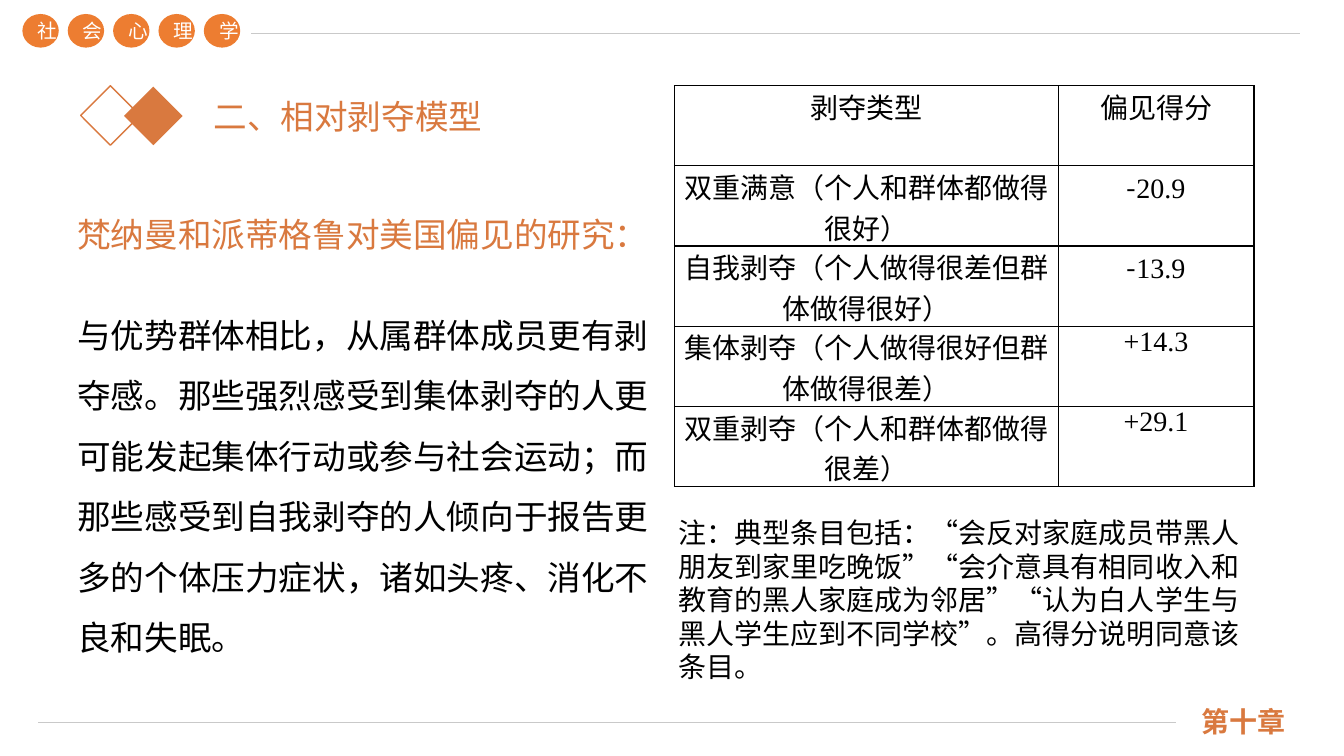
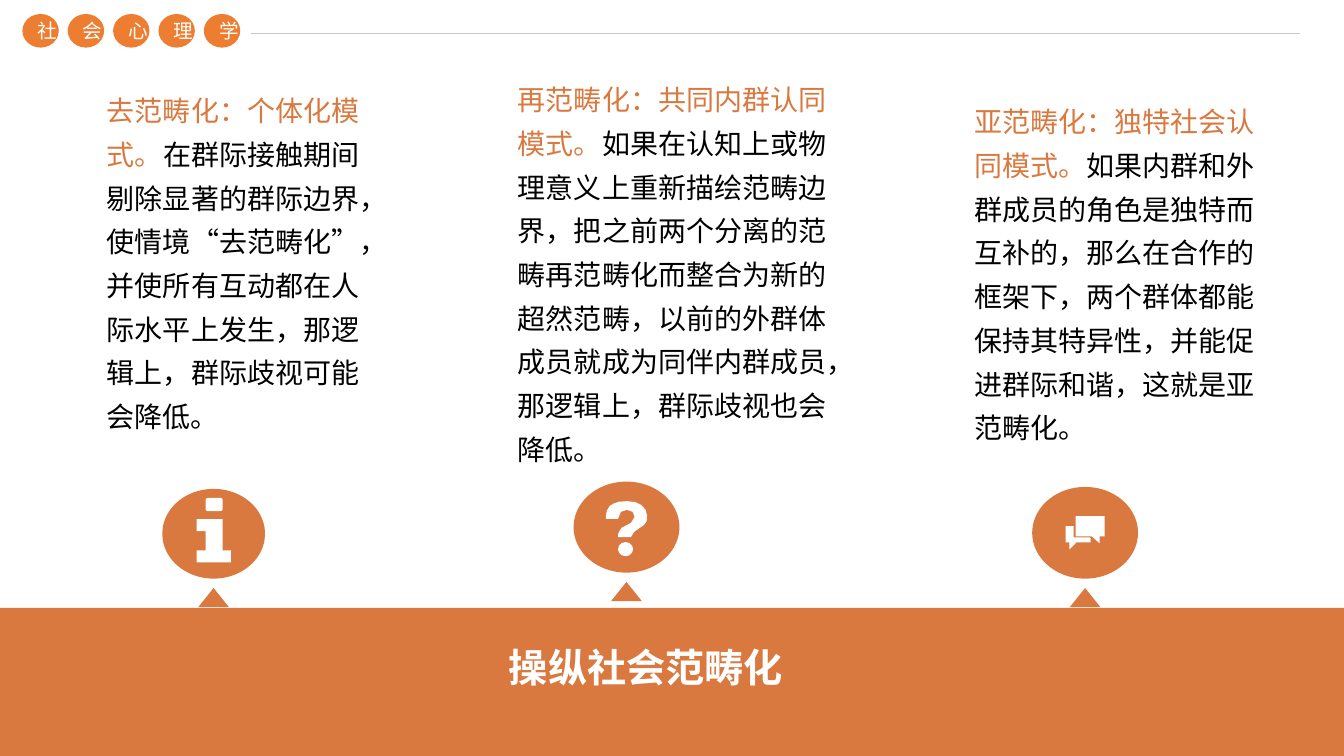
from dataclasses import dataclass

from lxml import etree
from pptx import Presentation
from pptx.dml.color import RGBColor
from pptx.enum.shapes import MSO_CONNECTOR, MSO_SHAPE
from pptx.enum.text import MSO_ANCHOR, PP_ALIGN
from pptx.oxml.ns import qn
from pptx.util import Pt

OVAL = MSO_SHAPE.OVAL
RECT = MSO_SHAPE.RECTANGLE
ROUND = MSO_SHAPE.ROUNDED_RECTANGLE
PEAK = MSO_SHAPE.ISOSCELES_TRIANGLE
GEM = MSO_SHAPE.DIAMOND
LINE = MSO_CONNECTOR.STRAIGHT
TOP = MSO_ANCHOR.TOP
MIDDLE = MSO_ANCHOR.MIDDLE
BOTTOM = MSO_ANCHOR.BOTTOM
LEFT = PP_ALIGN.LEFT
CENTER = PP_ALIGN.CENTER
FULL = PP_ALIGN.JUSTIFY


@dataclass(frozen=True)
class Theme:
    main: str = "D9793F"
    badge: str = "ED7D31"
    rule: str = "C9C9C9"
    ink: str = "000000"
    paper: str = "FFFFFF"
    sans: str = "Noto Sans CJK SC"
    foot: str = "Noto Sans CJK JP"
    serif: str = "Times New Roman"
    note: str = "Arial"
    tiny: int = 14
    body: int = 20
    head: int = 24
    big: int = 28


T = Theme()

GRID = [
    ("剥夺类型", "偏见得分"),
    ("双重满意（个人和群体都做得很好）", "-20.9"),
    ("自我剥夺（个人做得很差但群体做得很好）", "-13.9"),
    ("集体剥夺（个人做得很好但群体做得很差）", "+14.3"),
    ("双重剥夺（个人和群体都做得很差）", "+29.1"),
]

STUDY = "梵纳曼和派蒂格鲁对美国偏见的研究："
RESULT = (
    "与优势群体相比，从属群体成员更有剥夺感。那些强烈感受到集体剥夺的人更"
    "可能发起集体行动或参与社会运动；而那些感受到自我剥夺的人倾向于报告更"
    "多的个体压力症状，诸如头疼、消化不良和失眠。"
)
NOTE = (
    "注：典型条目包括：“会反对家庭成员带黑人朋友到家里吃晚饭”"
    "“会介意具有相同收入和教育的黑人家庭成为邻居”"
    "“认为白人学生与黑人学生应到不同学校”。高得分说明同意该条目。"
)

MODELS = [
    ((69.1, 56.3, 195, 288), FULL, "去范畴化：个体化模式。",
     "在群际接触期间剔除显著的群际边界，使情境“去范畴化”，"
     "并使所有互动都在人际水平上发生，那逻辑上，群际歧视可能会降低。"),
    ((362.9, 48.4, 239.8, 319), LEFT, "再范畴化：共同内群认同模式。",
     "如果在认知上或物理意义上重新描绘范畴边界，把之前两个分离的范畴再范畴化"
     "而整合为新的超然范畴，以前的外群体成员就成为同伴内群成员，"
     "那逻辑上，群际歧视也会降低。"),
    ((689, 64.2, 225.4, 288), LEFT, "亚范畴化：独特社会认同模式。",
     "如果内群和外群成员的角色是独特而互补的，那么在合作的框架下，"
     "两个群体都能保持其特异性，并能促进群际和谐，这就是亚范畴化。"),
]

INFO = [(24.5, 21.6), (43.2, 21.6), (43.2, 43.9), (49, 43.9), (49, 52.6),
        (24.5, 52.6), (24.5, 43.9), (31, 43.9), (31, 30.2), (24.5, 30.2)]
QUERY = [(23, 26.7), (23, 25.2), (23.7, 20.9), (25.9, 17.3), (28.8, 15.6),
         (32.4, 14.4), (38.1, 14), (43.9, 14.6), (48.2, 16.6), (51.5, 20.2),
         (52.5, 24.5), (52.2, 28.1), (50.4, 31), (46.8, 33.4), (43.2, 36),
         (41, 39.6), (31.7, 39.6), (32, 36.7), (34.2, 33.1), (41, 29.5),
         (43.6, 25.2), (42.2, 21.6), (38.1, 20.2), (33.8, 21.6), (31.7, 26.7)]
BACK = [(23.8, 28.1), (29.5, 28.1), (29.5, 36), (41, 36), (41.8, 36.7),
        (41.8, 39.6), (31.7, 39.6), (26.6, 44.6), (26.6, 39.6), (23.8, 39.6)]
FRONT = [(31, 20.9), (51.8, 20.9), (51.8, 35.3), (48.2, 35.3),
         (48.2, 40.3), (42.5, 35.3), (31, 35.3)]

ICONS = [
    ((115.9, 349.2, 73.4, 64.1), [INFO], (ROUND, 31, 6.5, 12.2, 9.4)),
    ((409.7, 344, 75.6, 65), [QUERY], (OVAL, 31.7, 43.2, 10.8, 10.1)),
    ((737.3, 347.8, 75.6, 65.5), [BACK, FRONT], None),
]


def rgb(code):
    return RGBColor.from_string(code)


def put(item, form):
    for key, value in form.items():
        setattr(item, key, value)


def paint(shape, fill=None, line=None):
    shape.shadow.inherit = False
    if fill:
        shape.fill.solid()
        shape.fill.fore_color.rgb = rgb(fill)
    else:
        shape.fill.background()
    if line:
        shape.line.color.rgb = rgb(line)
        shape.line.width = Pt(1)
    else:
        shape.line.fill.background()


def form(slide, kind, at, fill=None, line=None):
    shape = slide.shapes.add_shape(kind, *map(Pt, at))
    paint(shape, fill, line)
    return shape


def outline(slide, dots, left, top, fill):
    spots = [(Pt(left + x), Pt(top + y)) for x, y in dots]
    pen = slide.shapes.build_freeform(*spots[0])
    pen.add_line_segments(spots[1:], close=True)
    paint(pen.convert_to_shape(), fill)


def rule(slide, start, end, y):
    line = slide.shapes.add_connector(LINE, Pt(start), Pt(y), Pt(end), Pt(y))
    line.line.color.rgb = rgb(T.rule)
    line.line.width = Pt(1)
    etree.SubElement(line._element.spPr, qn("a:effectLst"))


def write(para, text, size, color, name=T.sans, bold=False):
    run = para.add_run()
    run.text = text
    put(run.font, {"size": Pt(size), "name": name, "bold": bold})
    run.font.color.rgb = rgb(color)
    props = run._r.get_or_add_rPr()
    props.set("lang", "zh-CN")
    east = T.foot if name == T.foot else T.sans
    etree.SubElement(props, qn("a:ea"), typeface=east)


def label(slide, at, paras, size, ratio=1.0, anchor=TOP, align=LEFT, gap=0,
          **look):
    frame = slide.shapes.add_textbox(*map(Pt, at)).text_frame
    put(frame, {"word_wrap": True, "vertical_anchor": anchor})
    for i, runs in enumerate(paras):
        para = frame.add_paragraph() if i else frame.paragraphs[0]
        put(para, {"alignment": align,
                   "line_spacing": Pt(round(size * 1.2 * ratio, 1)),
                   "space_before": Pt(gap if i else 0)})
        for text, color in runs:
            write(para, text, size, color, **look)


def header(slide):
    for i, word in enumerate("社会心理学"):
        badge = form(slide, OVAL, (16 + 32.4 * i, 10, 26, 24), T.badge)
        frame = badge.text_frame
        put(frame, {"word_wrap": True, "vertical_anchor": MIDDLE})
        frame.paragraphs[0].alignment = CENTER
        write(frame.paragraphs[0], word, T.tiny, T.paper)
    rule(slide, 179.3, 928.8, 23.8)


def footer(slide):
    rule(slide, 27.4, 840.2, 516.2)
    label(slide, (851, 502, 105, 28.8), [[("第十章", T.main)]], T.body,
          anchor=BOTTOM, name=T.foot, bold=True)


def heading(slide, text):
    form(slide, GEM, (88.6, 61.9, 41.8, 41.8), T.main)
    form(slide, GEM, (57.6, 61.2, 42.5, 42.5), line=T.main)
    label(slide, (145.4, 64.9, 220, 40), [[(text, T.main)]], T.head)


def border(cell):
    props = cell._tc.get_or_add_tcPr()
    for side in ("lnL", "lnR", "lnT", "lnB"):
        edge = etree.SubElement(props, qn(f"a:{side}"), w=str(Pt(1)))
        fill = etree.SubElement(edge, qn("a:solidFill"))
        etree.SubElement(fill, qn("a:srgbClr"), val=T.ink)


def fill_cell(cell, text):
    put(cell, {"margin_left": Pt(5), "margin_right": Pt(5),
               "margin_top": 0, "margin_bottom": 0})
    border(cell)
    cell.fill.solid()
    cell.fill.fore_color.rgb = rgb(T.paper)
    para = cell.text_frame.paragraphs[0]
    put(para, {"alignment": CENTER, "space_after": Pt(2.4)})
    if text.startswith("-"):
        write(para, "-", T.body, T.ink)
        text = text[1:]
    write(para, text, T.body, T.ink, T.serif)


def scores(slide):
    high = 57.3
    grid = slide.shapes.add_table(len(GRID), 2, Pt(481.7), Pt(61.2),
                                  Pt(414), Pt(high * len(GRID))).table
    put(grid, {"first_row": False, "horz_banding": False})
    for col, width in zip(grid.columns, (274.3, 139.7)):
        col.width = Pt(width)
    for r, row in enumerate(GRID):
        grid.rows[r].height = Pt(high)
        for c, text in enumerate(row):
            fill_cell(grid.cell(r, c), text)


def icon(slide, at, marks, dot):
    left, top, width, height = at
    form(slide, PEAK, (left + width / 2 - 11, top + height + 6.7, 22, 13.7),
         T.main)
    form(slide, OVAL, at, T.main)
    for mark in marks:
        outline(slide, mark, left, top, T.paper)
    if dot:
        kind, x, y, wide, high = dot
        form(slide, kind, (left + x, top + y, wide, high), T.paper)


def theory(slide):
    header(slide)
    footer(slide)
    heading(slide, "二、相对剥夺模型")
    label(slide, (48.2, 134.8, 433.4, 380),
          [[(STUDY, T.main)], [(RESULT, T.ink)]], T.head, 1.5, gap=28.8)
    scores(slide)
    label(slide, (477.4, 376, 422.6, 104.4), [[(NOTE, T.ink)]], T.body,
          anchor=MIDDLE, name=T.note)


def methods(slide):
    header(slide)
    form(slide, RECT, (0, 434.2, 960, 105.8), T.main)
    for spec_row in ICONS:
        icon(slide, *spec_row)
    for at, align, lead, text in MODELS:
        label(slide, at, [[(lead, T.main), (text, T.ink)]], T.body, 1.3,
              align=align)
    label(slide, (356.4, 445.8, 220, 60), [[("操纵社会范畴化", T.paper)]],
          T.big, 1.3, bold=True)


def main():
    deck = Presentation()
    put(deck, {"slide_width": Pt(960), "slide_height": Pt(540)})
    for build in (theory, methods):
        build(deck.slides.add_slide(deck.slide_layouts[6]))
    deck.save("out.pptx")


if __name__ == "__main__":
    main()
